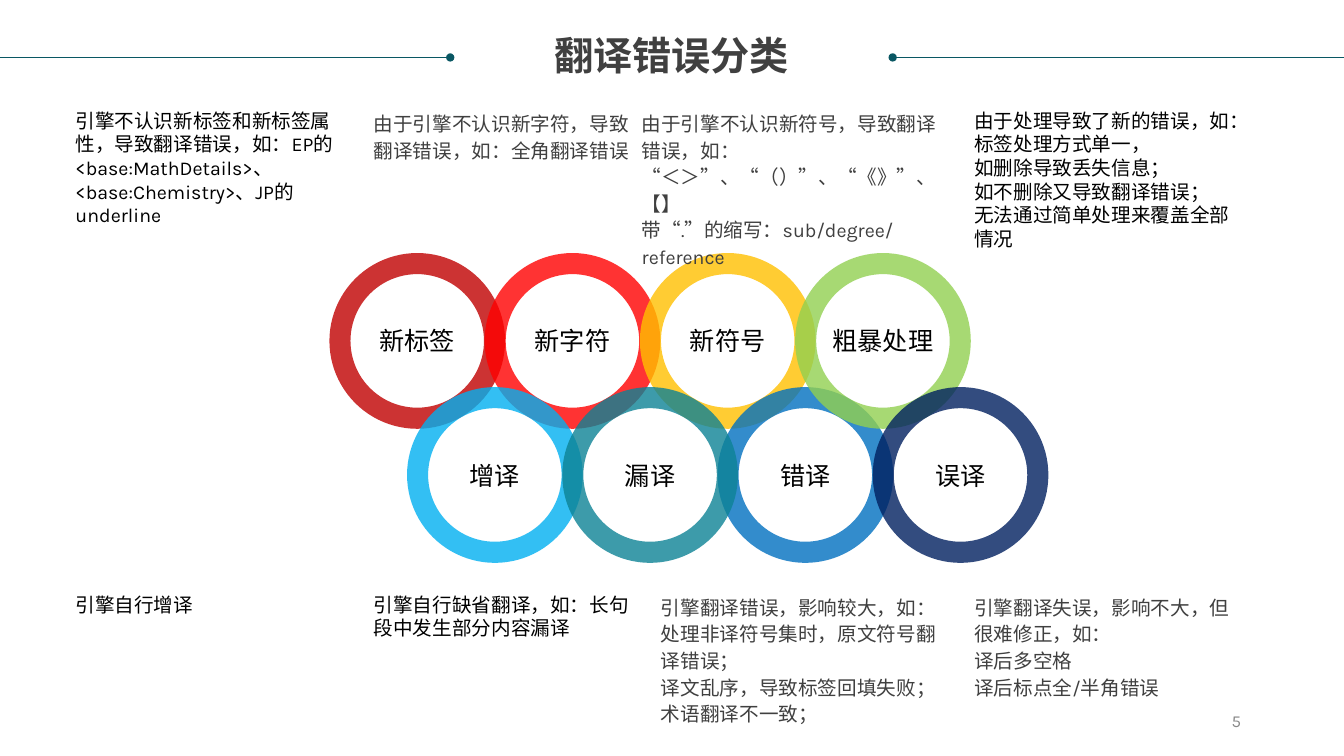
import dataclasses
import typing

import lxml.etree
import pptx
import pptx.dml.color
import pptx.enum.shapes
import pptx.enum.text
import pptx.oxml.ns
import pptx.util

Align = pptx.enum.text.PP_ALIGN
Anchor = pptx.enum.text.MSO_ANCHOR
WIDTH = pptx.util.Inches(13.34)
HEIGHT = pptx.util.Inches(7.5)


@dataclasses.dataclass(frozen=True)
class Theme:
    font: str = "Karla"
    heading: str = "404040"
    muted: str = "404040"
    body: str = "000000"
    rule: str = "095763"
    number: str = "898989"
    title_size: float = 28
    label_size: float = 18
    note_size: float = 14
    number_size: float = 12
    tight_line: float = 16.8
    loose_line: float = 19
    rule_width: float = 0.5
    ring_opacity: int = 80


THEME = Theme()


@dataclasses.dataclass(frozen=True)
class Ring:
    label: str
    row: int
    column: int
    color: str


@dataclasses.dataclass(frozen=True)
class Note:
    left: float
    top: float
    width: float
    lines: int
    loose: bool
    paragraphs: tuple[str, ...]


RING_LEFT, RING_PITCH, RING_DIAMETER = 24.51, 11.55, 13.07
RING_TOPS = (33.47, 51.2)
RING_THICKNESS = 0.12

RINGS = (
    Ring("新标签", 0, 0, "C00000"),
    Ring("新字符", 0, 1, "FF0000"),
    Ring("新符号", 0, 2, "FFC000"),
    Ring("增译", 1, 0, "00B0F0"),
    Ring("错译", 1, 2, "0070C0"),
    Ring("粗暴处理", 0, 3, "92D050"),
    Ring("误译", 1, 3, "002060"),
    Ring("漏译", 1, 1, "0D8295"),
)

FIRST, SECOND, FOURTH = 5.62, 27.81, 72.49
UPPER, LOWER = 14.4, 78.4
NOTE_WIDTH = 19.94

NOTES = (
    Note(FIRST, UPPER, NOTE_WIDTH, 5, False, (
        "引擎不认识新标签和新标签属性，导致翻译错误，如：EP的<base:MathDetails>、<base:Chemistry>、JP的underline",
    )),
    Note(SECOND, UPPER, NOTE_WIDTH, 3, True, (
        "由于引擎不认识新字符，导致翻译错误，如：全角翻译错误",
    )),
    Note(47.75, UPPER, 22.86, 6, True, (
        "由于引擎不认识新符号，导致翻译错误，如：",
        "“＜＞”、“（）”、“《》”、【】",
        "带“.”的缩写：sub/degree/reference",
    )),
    Note(FOURTH, UPPER, NOTE_WIDTH, 6, False, (
        "由于处理导致了新的错误，如：",
        "标签处理方式单一，",
        "如删除导致丢失信息；",
        "如不删除又导致翻译错误；",
        "无法通过简单处理来覆盖全部情况",
    )),
    Note(FIRST, LOWER, NOTE_WIDTH, 1, False, ("引擎自行增译",)),
    Note(SECOND, LOWER, NOTE_WIDTH, 2, False, (
        "引擎自行缺省翻译，如：长句段中发生部分内容漏译",
    )),
    Note(49.18, LOWER, 21.06, 5, True, (
        "引擎翻译错误，影响较大，如：",
        "处理非译符号集时，原文符号翻译错误；",
        "译文乱序，导致标签回填失败；",
        "术语翻译不一致；",
    )),
    Note(FOURTH, LOWER, NOTE_WIDTH, 4, True, (
        "引擎翻译失误，影响不大，但很难修正，如：",
        "译后多空格",
        "译后标点全/半角错误",
    )),
)


def across(percent: float) -> int:
    return round(WIDTH * percent / 100)


def down(percent: float) -> int:
    return round(HEIGHT * percent / 100)


def rgb(color: str) -> pptx.dml.color.RGBColor:
    return pptx.dml.color.RGBColor.from_string(color)


def write(box: typing.Any, text: str, size: float, color: str, align: Align = Align.LEFT,
          anchor: Anchor = Anchor.TOP, wrap: bool = True, bold: bool = False,
          spacing: typing.Any = None) -> None:
    frame = box.text_frame
    frame.text = text
    frame.word_wrap = wrap
    frame.auto_size = pptx.enum.text.MSO_AUTO_SIZE.NONE
    frame.vertical_anchor = anchor
    frame.margin_left = frame.margin_right = frame.margin_top = frame.margin_bottom = 0
    for para in frame.paragraphs:
        para.alignment = align
        para.line_spacing = spacing
        para.font.name = THEME.font
        para.font.size = pptx.util.Pt(size)
        para.font.bold = bold
        para.font.color.rgb = rgb(color)


def draw_title(page: typing.Any) -> None:
    title = page.shapes.title
    title.left, title.top = across(1.87), down(4.8)
    title.width, title.height = across(96.18), down(5.6)
    write(title, "翻译错误分类", THEME.title_size, THEME.heading, Align.CENTER,
          bold=True, spacing=0.9)


def draw_rule(page: typing.Any, start: float, end: float, dotted_end: str) -> None:
    rule = page.shapes.add_connector(
        pptx.enum.shapes.MSO_CONNECTOR.STRAIGHT, across(start), down(7.6), across(end), down(7.6))
    rule.line.color.rgb = rgb(THEME.rule)
    rule.line.width = pptx.util.Pt(THEME.rule_width)
    properties = rule.element.spPr
    outline = properties.find(pptx.oxml.ns.qn("a:ln"))
    lxml.etree.SubElement(outline, pptx.oxml.ns.qn(dotted_end), type="oval")
    lxml.etree.SubElement(properties, pptx.oxml.ns.qn("a:effectLst"))


def draw_ring(page: typing.Any, ring: Ring) -> None:
    left = RING_LEFT + (ring.column + ring.row / 2) * RING_PITCH
    diameter = across(RING_DIAMETER)
    donut = page.shapes.add_shape(
        pptx.enum.shapes.MSO_SHAPE.DONUT, across(left), down(RING_TOPS[ring.row]), diameter, diameter)
    donut.adjustments[0] = RING_THICKNESS
    donut.shadow.inherit = False
    donut.line.fill.background()
    donut.fill.solid()
    donut.fill.fore_color.rgb = rgb(ring.color)
    fill_color = donut.element.spPr.find(pptx.oxml.ns.qn("a:solidFill"))[0]
    lxml.etree.SubElement(
        fill_color, pptx.oxml.ns.qn("a:alpha"), val=str(THEME.ring_opacity * 1000))
    write(donut, ring.label, THEME.label_size, THEME.body, Align.CENTER, Anchor.MIDDLE, wrap=False)


def draw_note(page: typing.Any, note: Note) -> None:
    line_height = pptx.util.Pt(THEME.loose_line if note.loose else THEME.tight_line)
    box = page.shapes.add_textbox(
        across(note.left), down(note.top), across(note.width), note.lines * line_height)
    write(box, "\n".join(note.paragraphs), THEME.note_size,
          THEME.muted if note.loose else THEME.body,
          spacing=line_height if note.loose else None)


def draw_number(page: typing.Any) -> None:
    box = page.shapes.add_textbox(across(70.61), down(92.67), across(21.74), down(5.33))
    write(box, "5", THEME.number_size, THEME.number, Align.RIGHT, Anchor.MIDDLE)


def main() -> None:
    deck = pptx.Presentation()
    deck.slide_width, deck.slide_height = WIDTH, HEIGHT
    page = deck.slides.add_slide(deck.slide_layouts.get_by_name("Title Only"))
    draw_title(page)
    draw_rule(page, 66.42, 100, "a:headEnd")
    draw_rule(page, 0, 33.5, "a:tailEnd")
    for ring in RINGS:
        draw_ring(page, ring)
    for note in NOTES:
        draw_note(page, note)
    draw_number(page)
    deck.save("out.pptx")


if __name__ == "__main__":
    main()
